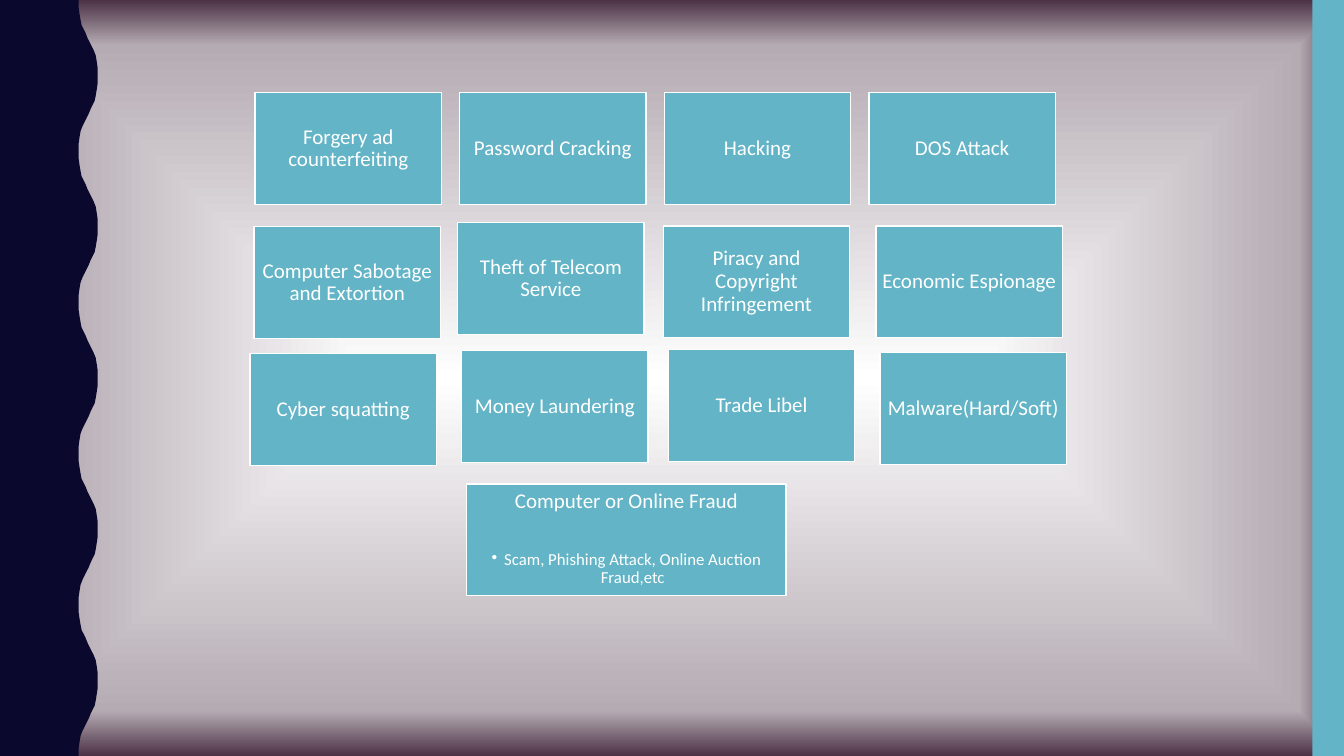
from lxml.etree import SubElement
from pptx import Presentation
from pptx.dml.color import RGBColor
from pptx.enum.shapes import MSO_SHAPE
from pptx.enum.text import MSO_ANCHOR, PP_ALIGN
from pptx.oxml.ns import qn
from pptx.util import Pt

COLORS = {
    "navy": "0B082E", "teal": "62B4C6", "white": "FFFFFF",
    "mauve": "B5ABB3", "plum": "4B3245",
}
WIDTH, HEIGHT = 960, 540
GRADIENT = [(0, "white", 100), (88, "mauve", 96), (100, "plum", 100)]

WAVE_DEPTHS = [0, 0, 1, 2, 3, 5, 7, 9, 11, 13, 15, 17, 18, 19, 19]
WAVE_STEPS = [0, 7, 14, 20, 25, 29, 33, 38, 42, 46, 50, 55, 61, 68, 75]
WAVE_SWINGS = 10

TILE_WIDTH, TILE_HEIGHT = 133.2, 79.92
COLUMN_PITCH, ROW_PITCH = 146.16, 93.6
CRIMES = [
    [("Forgery ad counterfeiting", 0, 0),
     ("Password Cracking", 0, 0),
     ("Hacking", 0, 0),
     ("DOS Attack", 0, 0)],
    [("Computer Sabotage and Extortion", -0.72, 2.16),
     ("Theft of Telecom Service", -1.44, -0.72),
     ("Piracy and Copyright Infringement", -0.72, 1.44),
     ("Economic Espionage", 5.04, 1.44)],
    [("Cyber squatting", -3.6, -0.72),
     ("Money Laundering", 1.44, -2.88),
     ("Trade Libel", 2.88, -3.6),
     ("Malware(Hard/Soft)", 7.92, -1.44)],
]
FRAME_FORMAT = {
    "word_wrap": True, "margin_left": Pt(4.5), "margin_right": Pt(4.5),
    "margin_top": Pt(4.5), "margin_bottom": Pt(4.5),
}
TITLE_FORMAT = {
    "alignment": PP_ALIGN.CENTER, "line_spacing": 0.9, "space_after": Pt(5.25),
}
DETAIL_FORMAT = {
    "alignment": PP_ALIGN.CENTER, "line_spacing": 0.9,
    "space_before": Pt(22), "space_after": Pt(1.8), "level": 1,
}


def color(name):
    return RGBColor.from_string(COLORS[name])


def apply_format(target, values):
    for name, value in values.items():
        setattr(target, name, value)


def paint(shape, fill, line=None):
    shape.shadow.inherit = False
    shape.fill.solid()
    shape.fill.fore_color.rgb = color(fill)
    if line:
        shape.line.color.rgb = color(line)
        shape.line.width = Pt(1)
    else:
        shape.line.fill.background()


def add_background(slide):
    slide.background.fill.gradient()
    gradient = slide.element.find(".//" + qn("a:gradFill"))
    for child in list(gradient):
        gradient.remove(child)
    stops = SubElement(gradient, qn("a:gsLst"))
    for position, name, opacity in GRADIENT:
        stop = SubElement(stops, qn("a:gs"), pos=str(position * 1000))
        stop_color = SubElement(stop, qn("a:srgbClr"), val=COLORS[name])
        if opacity < 100:
            SubElement(stop_color, qn("a:alpha"), val=str(opacity * 1000))
    shade = SubElement(gradient, qn("a:path"), path="shape")
    SubElement(shade, qn("a:fillToRect"), l="50000", t="50000", r="50000", b="50000")


def add_wave(slide, left, top, width, height):
    swing_height = height / WAVE_SWINGS
    deepest = WAVE_DEPTHS[-1]
    amplitude = 13.68
    points = []
    for swing in range(WAVE_SWINGS):
        for depth, step in zip(WAVE_DEPTHS, WAVE_STEPS):
            depth = deepest - depth if swing % 2 else depth
            x = left + width - amplitude + amplitude * depth / deepest
            y = top + swing_height * (swing + step / WAVE_STEPS[-1])
            points.append((Pt(x), Pt(y)))
    points.append((Pt(left), Pt(top + height)))
    builder = slide.shapes.build_freeform(Pt(left), Pt(top))
    builder.add_line_segments(points, close=True)
    paint(builder.convert_to_shape(), "navy")


def add_side_bar(slide, left, top, width, height):
    bar = slide.shapes.add_shape(
        MSO_SHAPE.RECTANGLE, Pt(left), Pt(top), Pt(width), Pt(height))
    paint(bar, "teal")


def write(paragraph, text, size, values):
    apply_format(paragraph, values)
    run = paragraph.add_run()
    run.text = text
    apply_format(run.font, {"name": "Calibri", "size": Pt(size)})
    run.font.color.rgb = color("white")


def add_tile(slide, text, left, top, width, height, anchor=MSO_ANCHOR.MIDDLE):
    tile = slide.shapes.add_shape(
        MSO_SHAPE.RECTANGLE, Pt(left), Pt(top), Pt(width), Pt(height))
    paint(tile, "teal", "white")
    frame = tile.text_frame
    apply_format(frame, FRAME_FORMAT)
    frame.vertical_anchor = anchor
    write(frame.paragraphs[0], text, 15, TITLE_FORMAT)
    return frame


def add_crime_grid(slide, left, top):
    for row, crimes in enumerate(CRIMES):
        for column, (text, shift_x, shift_y) in enumerate(crimes):
            add_tile(slide, text, left + column * COLUMN_PITCH + shift_x,
                     top + row * ROW_PITCH + shift_y, TILE_WIDTH, TILE_HEIGHT)


def add_fraud_tile(slide, left, top, width, height):
    frame = add_tile(slide, "Computer or Online Fraud", left, top, width, height,
                     MSO_ANCHOR.TOP)
    detail = frame.add_paragraph()
    write(detail, "Scam, Phishing Attack, Online Auction Fraud,etc", 12, DETAIL_FORMAT)
    properties = detail._p.get_or_add_pPr()
    properties.set("marL", str(Pt(9)))
    properties.set("indent", str(-Pt(9)))
    SubElement(properties, qn("a:buChar"), char="•")


def main():
    presentation = Presentation()
    presentation.slide_width = Pt(WIDTH)
    presentation.slide_height = Pt(HEIGHT)
    slide = presentation.slides.add_slide(presentation.slide_layouts[6])
    add_background(slide)
    add_wave(slide, 0, 0, 69.84, HEIGHT)
    add_side_bar(slide, 937.44, 0, 22.56, HEIGHT)
    add_crime_grid(slide, 182.16, 66.24)
    add_fraud_tile(slide, 333.36, 345.6, 228.24, TILE_HEIGHT)
    presentation.save("out.pptx")


if __name__ == "__main__":
    main()
